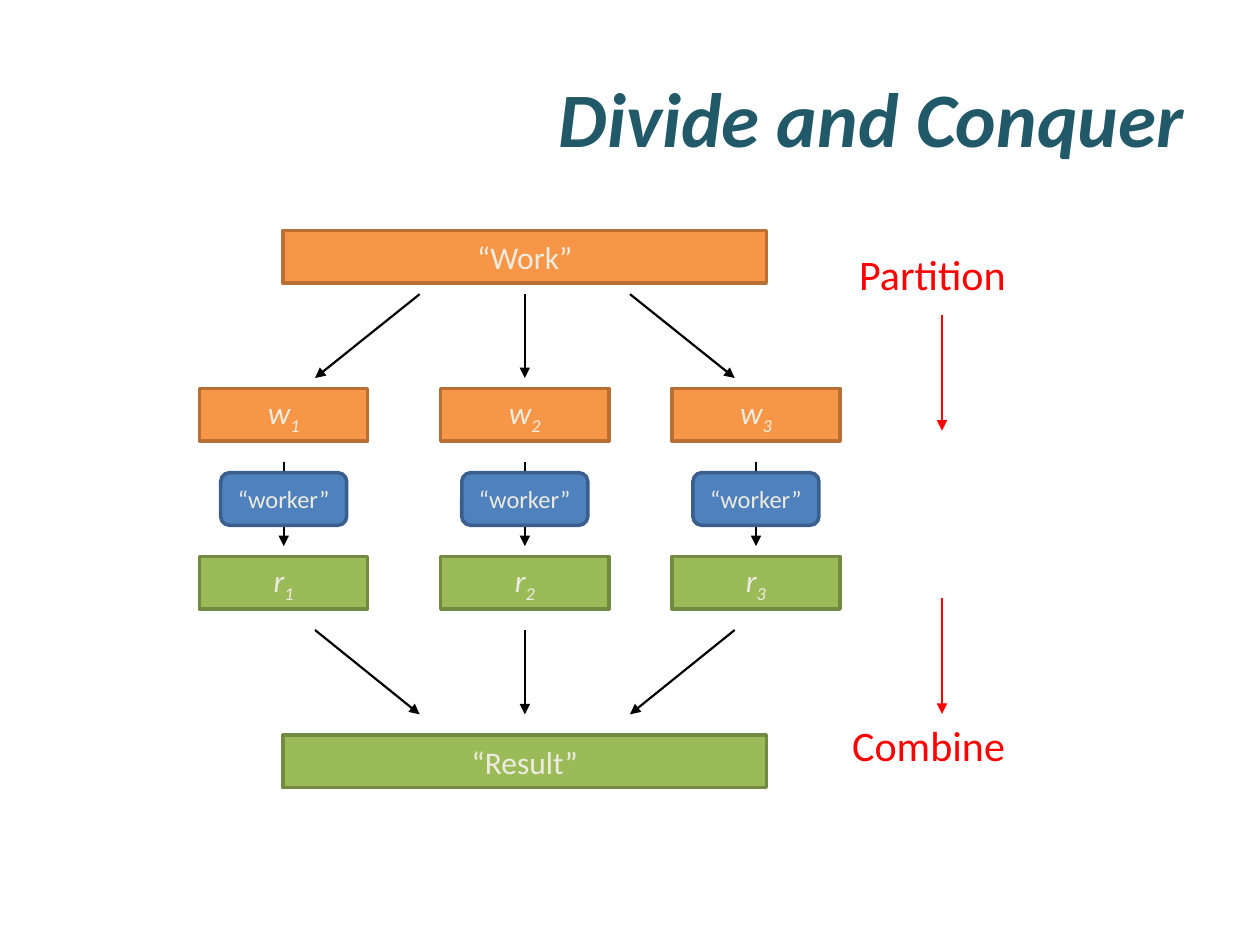
from lxml.etree import SubElement
from pptx import Presentation
from pptx.dml.color import RGBColor
from pptx.enum.shapes import MSO_CONNECTOR, MSO_SHAPE
from pptx.enum.text import MSO_ANCHOR, MSO_AUTO_SIZE, PP_ALIGN
from pptx.oxml.ns import qn
from pptx.util import Cm, Pt

COLORS = {
    "title": "215968", "label": "EEECE1", "flow": "000000", "phase": "FF0000",
    "work": "F79646", "work_edge": "B76F34",
    "result": "9BBB59", "result_edge": "738A42",
    "worker": "4F81BD", "worker_edge": "3A5F8C",
}
RGB = {role: RGBColor.from_string(value) for role, value in COLORS.items()}
BOX_HEIGHT = 1.06
CENTERS = [5.72, 10.58, 15.24]

deck = Presentation()
deck.slide_width, deck.slide_height = Cm(25.4), Cm(19.05)
slide = deck.slides.add_slide(deck.slide_layouts[5])
shapes = slide.shapes


def add_box(center, top, width, role, label, subscript="", size=18,
            outline=MSO_SHAPE.RECTANGLE):
    """Draw a box around a centre line; a subscript makes its label italic."""
    box = shapes.add_shape(outline, Cm(center - width / 2), Cm(top),
                           Cm(width), Cm(BOX_HEIGHT))
    box.shadow.inherit = False
    box.fill.solid()
    box.fill.fore_color.rgb = RGB[role]
    box.line.color.rgb = RGB[role + "_edge"]
    box.line.width = Pt(2)
    box.text_frame.vertical_anchor = MSO_ANCHOR.MIDDLE
    paragraph = box.text_frame.paragraphs[0]
    paragraph.alignment = PP_ALIGN.CENTER
    text_format = {"name": "Calibri", "size": Pt(size), "italic": bool(subscript)}
    for part in filter(None, (label, subscript)):
        run = paragraph.add_run()
        run.text = part
        run.font.color.rgb = RGB["label"]
        for attribute, value in text_format.items():
            setattr(run.font, attribute, value)
    if subscript:
        run.font._element.set("baseline", "-25000")


def add_arrow(x1, y1, x2, y2, role="flow", weight=1.25):
    arrow = shapes.add_connector(MSO_CONNECTOR.STRAIGHT,
                                 Cm(x1), Cm(y1), Cm(x2), Cm(y2))
    arrow.line.color.rgb = RGB[role]
    arrow.line.width = Pt(weight)
    SubElement(arrow.line._get_or_add_ln(), qn("a:tailEnd"), type="triangle")
    SubElement(arrow._element.spPr, qn("a:effectLst"))


# Title
title = shapes.title
title.left, title.top, title.width, title.height = Cm(1.27), Cm(0.76), Cm(22.86), Cm(3.18)
title.text_frame.text = "Divide and Conquer"
title.text_frame.vertical_anchor = MSO_ANCHOR.MIDDLE
heading = title.text_frame.paragraphs[0]
heading.alignment = PP_ALIGN.RIGHT
heading_font = heading.runs[0].font
heading_font.color.rgb = RGB["title"]
heading_format = {"name": "Calibri", "size": Pt(44), "bold": True, "italic": True}
for attribute, value in heading_format.items():
    setattr(heading_font, attribute, value)

# Whole work at the top, whole result at the bottom
add_box(CENTERS[1], 4.65, 9.74, "work", "“Work”")
add_box(CENTERS[1], 14.82, 9.74, "result", "“Result”")

# One column per part: piece of work, worker, partial result
for number, center in enumerate(CENTERS, start=1):
    add_box(center, 7.83, 3.39, "work", "w", str(number))
    add_arrow(center, 9.31, center, 11.01)
    add_box(center, 9.53, 2.54, "worker", "“worker”", size=14,
            outline=MSO_SHAPE.ROUNDED_RECTANGLE)
    add_box(center, 11.22, 3.39, "result", "r", str(number))

# Arrows fan out from the work and back in to the result
for side in (-1, 0, 1):
    near, far = (CENTERS[1] + side * reach for reach in (2.12, 4.23))
    add_arrow(near, 5.93, far, 7.62)
    add_arrow(far, 12.7, near, 14.4)

# Phases on the right
for phase, left, top, width, arrow_top in [
    ("Partition", 17.07, 4.88, 3.99, 6.35),
    ("Combine", 16.93, 14.38, 4.17, 12.06),
]:
    caption = shapes.add_textbox(Cm(left), Cm(top), Cm(width), Cm(1.3))
    caption.text_frame.word_wrap = False
    caption.text_frame.auto_size = MSO_AUTO_SIZE.SHAPE_TO_FIT_TEXT
    caption.text_frame.text = phase
    caption_font = caption.text_frame.paragraphs[0].runs[0].font
    caption_font.name, caption_font.size = "Calibri", Pt(24)
    caption_font.color.rgb = RGB["phase"]
    add_arrow(18.99, arrow_top, 18.99, arrow_top + 2.33, "phase", 1.5)

deck.save("out.pptx")
